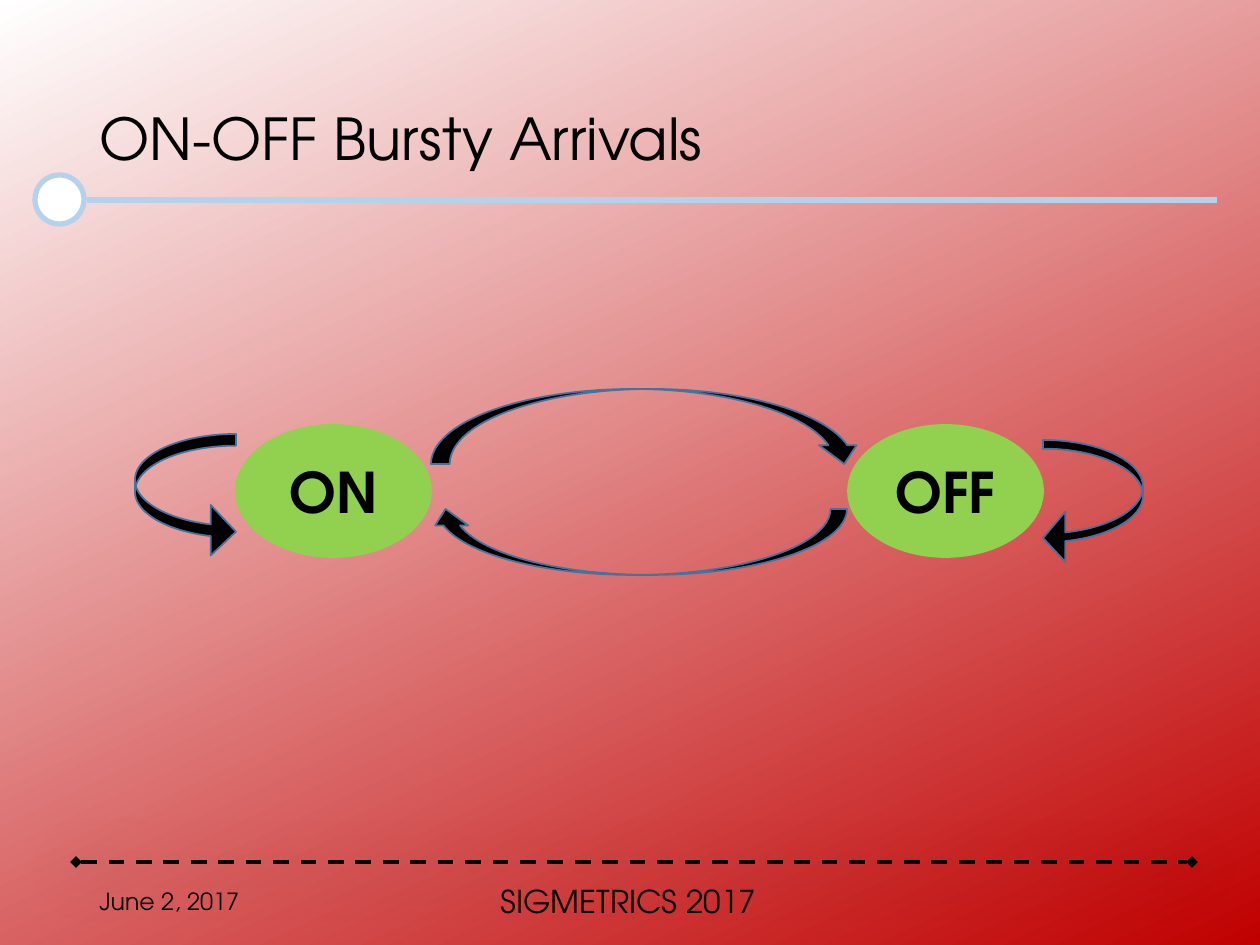
from lxml.etree import SubElement
from pptx import Presentation
from pptx.dml.color import RGBColor
from pptx.enum.dml import MSO_LINE
from pptx.enum.shapes import MSO_CONNECTOR, MSO_SHAPE
from pptx.enum.text import MSO_ANCHOR, PP_ALIGN
from pptx.oxml.ns import qn
from pptx.util import Pt

PX = 914400 / 126
FONT = "TeX Gyre Adventor"
COLORS = {"white": "FFFFFF", "red": "C00000", "black": "000000",
          "rule": "B5D2EC", "state": "92D050", "edge": "43739E"}

# Boxes are left, top, width, height in px
TEXTS = [
    ("ON-OFF Bursty Arrivals", (87, 50, 1086, 183), dict(size=33, spacing=0.9, shadow=True)),
    ("SIGMETRICS 2017", (304, 876, 649, 50), dict(size=18, align=PP_ALIGN.CENTER)),
    ("June 2, 2017", (87, 876, 284, 50), dict(size=13.5)),
]
STATES = [("ON", 236), ("OFF", 848)]
STATE_TOP, STATE_WIDTH, STATE_HEIGHT = 425, 195, 132
# Kind, box, rotation, adjustments
TRANSITIONS = [
    (MSO_SHAPE.CURVED_RIGHT_ARROW, (135, 434, 101, 123), 0, (0.116, 0.5, 0.25)),
    (MSO_SHAPE.CURVED_DOWN_ARROW, (431, 389, 432, 75), 0, ()),
    (MSO_SHAPE.CURVED_LEFT_ARROW, (605, 333, 66, 418), 90, ()),
    (MSO_SHAPE.CURVED_LEFT_ARROW, (1043, 440, 100, 123), 0, (0.087, 0.5, 0.223)),
]


def emu(*lengths):
    return [round(length * PX) for length in lengths]


def rgb(name):
    return RGBColor.from_string(COLORS[name])


def add_shadow(effects, opacity, blur, distance, angle):
    shadow = SubElement(effects, qn("a:outerShdw"), blurRad=str(Pt(blur)),
                        dist=str(Pt(distance)), dir=str(angle * 60000), rotWithShape="0")
    color = SubElement(shadow, qn("a:srgbClr"), val=COLORS["black"])
    SubElement(color, qn("a:alpha"), val=str(opacity * 1000))


def write(frame, text, size, bold=False, align=PP_ALIGN.LEFT, spacing=None,
          shadow=False, wrap=True):
    frame.word_wrap = wrap
    frame.vertical_anchor = MSO_ANCHOR.MIDDLE
    para = frame.paragraphs[0]
    para.alignment = align
    para.line_spacing = spacing
    span = para.add_run()
    span.text = text
    span.font.size, span.font.bold = Pt(size), bold
    span.font.color.rgb = rgb("black")
    if shadow:
        add_shadow(SubElement(span.font._element, qn("a:effectLst")), 43, 3, 3, 45)
    span.font.name = FONT


def add_solid(page, kind, box, fill, line, weight=1):
    shape = page.shapes.add_shape(kind, *emu(*box))
    shape.shadow.inherit = False
    shape.fill.solid()
    shape.fill.fore_color.rgb = rgb(fill)
    shape.line.color.rgb = rgb(line)
    shape.line.width = Pt(weight)
    return shape


def add_rule(page, left, right, y, color, weight):
    """Draw a horizontal line and return it with its empty effect list."""
    rule = page.shapes.add_connector(MSO_CONNECTOR.STRAIGHT, *emu(left, y, right, y))
    rule.line.color.rgb = rgb(color)
    rule.line.width = Pt(weight)
    return rule, SubElement(rule._element.spPr, qn("a:effectLst"))


def main():
    deck = Presentation()
    deck.slide_width, deck.slide_height = emu(1260, 945)
    page = deck.slides.add_slide(deck.slide_layouts[6])

    background = page.background.fill
    background.gradient()
    background.gradient_angle = 360 - 65
    for stop, position, color in zip(background.gradient_stops, (0, 1), ("white", "red")):
        stop.position = position
        stop.color.rgb = rgb(color)

    add_rule(page, 87, 1217, 200, "rule", 3)
    add_solid(page, MSO_SHAPE.OVAL, (35, 175, 49, 49), "white", "rule", 3)

    footer_rule, effects = add_rule(page, 76, 1192, 862, "black", 2.25)
    footer_rule.line.dash_style = MSO_LINE.DASH
    for end in ("a:headEnd", "a:tailEnd"):
        SubElement(footer_rule.line._ln, qn(end), type="diamond")
    add_shadow(effects, 43, 36, 4, 90)

    for text, box, style in TEXTS:
        write(page.shapes.add_textbox(*emu(*box)).text_frame, text, **style)

    for name, left in STATES:
        state = add_solid(page, MSO_SHAPE.OVAL, (left, STATE_TOP, STATE_WIDTH, STATE_HEIGHT),
                          "state", "state")
        write(state.text_frame, name, size=32, bold=True, align=PP_ALIGN.CENTER, wrap=False)

    for kind, box, rotation, adjustments in TRANSITIONS:
        arrow = add_solid(page, kind, box, "black", "edge")
        arrow.rotation = rotation
        for index, value in enumerate(adjustments):
            arrow.adjustments[index] = value

    deck.save("out.pptx")


if __name__ == "__main__":
    main()
